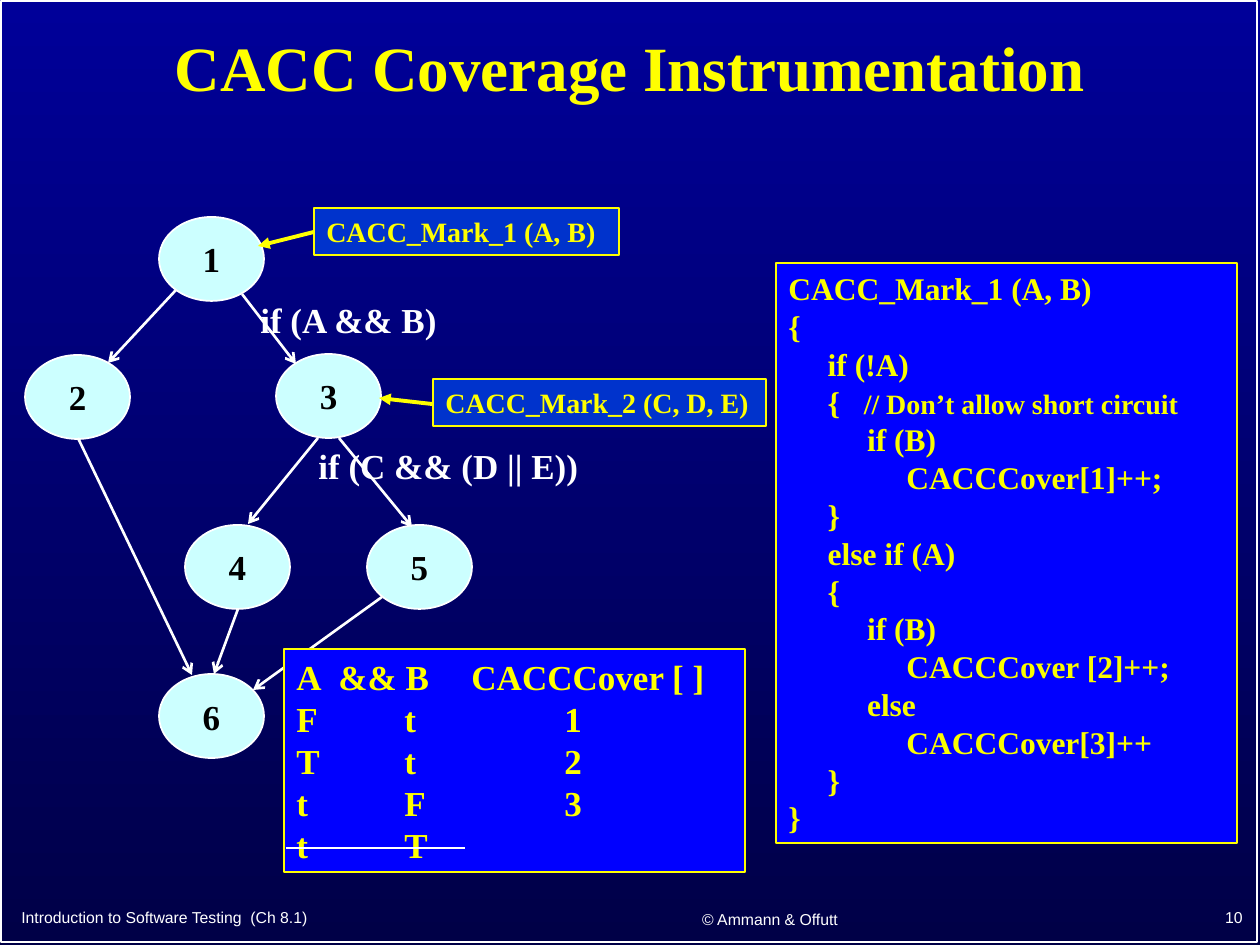
from lxml.etree import SubElement
from pptx import Presentation
from pptx.dml.color import RGBColor
from pptx.enum.shapes import MSO_CONNECTOR, MSO_SHAPE
from pptx.enum.text import MSO_ANCHOR, PP_ALIGN
from pptx.oxml.ns import qn
from pptx.util import Emu, Pt

PX = 914400 / 126
WHITE = RGBColor(0xFF, 0xFF, 0xFF)
BLACK = RGBColor(0x00, 0x00, 0x00)
YELLOW = RGBColor(0xFF, 0xFF, 0x00)
CODE_YELLOW = RGBColor(0xFA, 0xFD, 0x00)
BLUE = RGBColor(0x00, 0x00, 0xFF)
MARK_BLUE = RGBColor(0x00, 0x33, 0xCC)
NODE_CYAN = RGBColor(0xCC, 0xFF, 0xFF)
TOP_BLUE = RGBColor(0x00, 0x00, 0x99)
BOTTOM_BLUE = RGBColor(0x00, 0x00, 0x47)

presentation = Presentation()
presentation.slide_width = Emu(round(1260 * PX))
presentation.slide_height = Emu(round(945 * PX))
slide = presentation.slides.add_slide(presentation.slide_layouts[6])


def add_box(bounds, lines=(), size=20, color=WHITE, preset=None, fill=None, line=None,
            width=1, align=PP_ALIGN.LEFT, anchor=MSO_ANCHOR.TOP, font="Times New Roman", bold=True):
    """Add a text box, or a preset shape, with one paragraph per line."""
    lengths = [Emu(round(value * PX)) for value in bounds]
    if preset is None:
        shape = slide.shapes.add_textbox(*lengths)
    else:
        shape = slide.shapes.add_shape(preset, *lengths)
        shape.shadow.inherit = False
        shape.line.color.rgb = line
        shape.line.width = Pt(width)
        if fill is None:
            shape.fill.background()
        else:
            shape.fill.solid()
            shape.fill.fore_color.rgb = fill
    frame = shape.text_frame
    frame.word_wrap = True
    frame.vertical_anchor = anchor
    for index, text in enumerate(lines):
        paragraph = frame.paragraphs[0] if index == 0 else frame.add_paragraph()
        paragraph.alignment = align
        run = paragraph.add_run()
        run.text = text
        run.font.color.rgb = color
        for name, value in {"size": Pt(size), "name": font, "bold": bold}.items():
            setattr(run.font, name, value)
    return shape


def add_line(points, color, width, arrowhead=None):
    """Add a straight line, with an optional arrowhead at its end."""
    lengths = [Emu(round(value * PX)) for value in points]
    connector = slide.shapes.add_connector(MSO_CONNECTOR.STRAIGHT, *lengths)
    connector.line.color.rgb = color
    connector.line.width = Pt(width)
    if arrowhead:
        SubElement(connector.line._get_or_add_ln(), qn("a:tailEnd"), type=arrowhead)
    SubElement(connector._element.spPr, qn("a:effectLst"))


# Background and frame
background = slide.background.fill
background.gradient()
background.gradient_angle = 270
for stop, color in zip(background.gradient_stops, (TOP_BLUE, BOTTOM_BLUE)):
    stop.color.rgb = color
add_box((1, 1, 1256, 941), preset=MSO_SHAPE.RECTANGLE, line=WHITE)

# Footer
footers = [
    ((9, 896, 538, 42), "Introduction to Software Testing  (Ch 8.1)", PP_ALIGN.LEFT),
    ((568, 900, 404, 38), "© Ammann & Offutt", PP_ALIGN.CENTER),
    ((993, 898, 262, 39), "10", PP_ALIGN.RIGHT),
]
for bounds, text, align in footers:
    add_box(bounds, [text], 9, align=align, anchor=MSO_ANCHOR.MIDDLE, font="Arial", bold=False)

# Title
title = add_box((16, 11, 1227, 120), ["CACC Coverage Instrumentation"], 36, YELLOW,
                align=PP_ALIGN.CENTER, anchor=MSO_ANCHOR.MIDDLE)
title.text_frame.paragraphs[0].line_spacing = 0.9

# Code listing, with its comment in smaller type
code = """CACC_Mark_1 (A, B)
{
     if (!A)
     {   // Don’t allow short circuit
          if (B)
               CACCCover[1]++;
     }
     else if (A)
     {
          if (B)
               CACCCover [2]++;
          else
               CACCCover[3]++
     }
}"""
listing = add_box((776, 263, 461, 580), code.split("\n"), 18, CODE_YELLOW,
                  MSO_SHAPE.RECTANGLE, BLUE, YELLOW, 1.5)
for paragraph in listing.text_frame.paragraphs:
    statement, slashes, remark = paragraph.text.partition("//")
    if slashes:
        paragraph.runs[0].text = statement
        comment = paragraph.add_run()
        comment.text = slashes + remark
        comment.font.color.rgb = CODE_YELLOW
        for name, value in {"size": Pt(16), "name": "Times New Roman", "bold": True}.items():
            setattr(comment.font, name, value)

# Graph nodes
nodes = {"6": (159, 674), "3": (276, 354), "2": (25, 355),
         "1": (159, 217), "5": (367, 525), "4": (185, 525)}
for label, (left, top) in nodes.items():
    add_box((left, top, 105, 84), [label], 20, BLACK, MSO_SHAPE.OVAL, NODE_CYAN, WHITE,
            align=PP_ALIGN.CENTER, anchor=MSO_ANCHOR.MIDDLE)

# Graph edges
edges = [
    (176, 290, 108, 363),  # 1 to 2
    (242, 294, 296, 364),  # 1 to 3
    (318, 438, 248, 524),  # 3 to 4
    (339, 438, 412, 527),  # 3 to 5
    (382, 597, 253, 690),  # 5 to 6
    (238, 609, 214, 674),  # 4 to 6
    (78, 438, 192, 675),  # 2 to 6
]
for points in edges:
    add_line(points, WHITE, 1.5, "arrow")

# Predicates
add_box((248, 292, 226, 55), ["if (A && B)"])
add_box((306, 438, 286, 55), ["if (C && (D || E))"])

# Instrumentation calls with pointers to their nodes
marks = [
    ((314, 208, 305, 47), "CACC_Mark_1 (A, B)", (314, 232, 258, 246)),
    ((433, 379, 333, 47), "CACC_Mark_2 (C, D, E)", (432, 404, 379, 398)),
]
for bounds, text, pointer in marks:
    add_box(bounds, [text], 16, YELLOW, MSO_SHAPE.RECTANGLE, MARK_BLUE, YELLOW)
    add_line(pointer, YELLOW, 2.25, "triangle")

# Truth assignments, with columns at tab stops
rows = ["A\t&& B\tCACCCover [ ]", "F\tt\t1", "T\tt\t2", "t\tF\t3", "t\tT"]
truth_box = add_box((284, 649, 461, 223), rows, 20, YELLOW,
                    MSO_SHAPE.RECTANGLE, BLUE, YELLOW, 1.5)
for index, paragraph in enumerate(truth_box.text_frame.paragraphs):
    tab_list = SubElement(paragraph._p.get_or_add_pPr(), qn("a:tabLst"))
    for position in (42, 175) if index == 0 else (108, 268):
        SubElement(tab_list, qn("a:tab"), pos=str(round(position * PX)), algn="l")
add_line((286, 848, 465, 848), WHITE, 1)

presentation.save("out.pptx")
